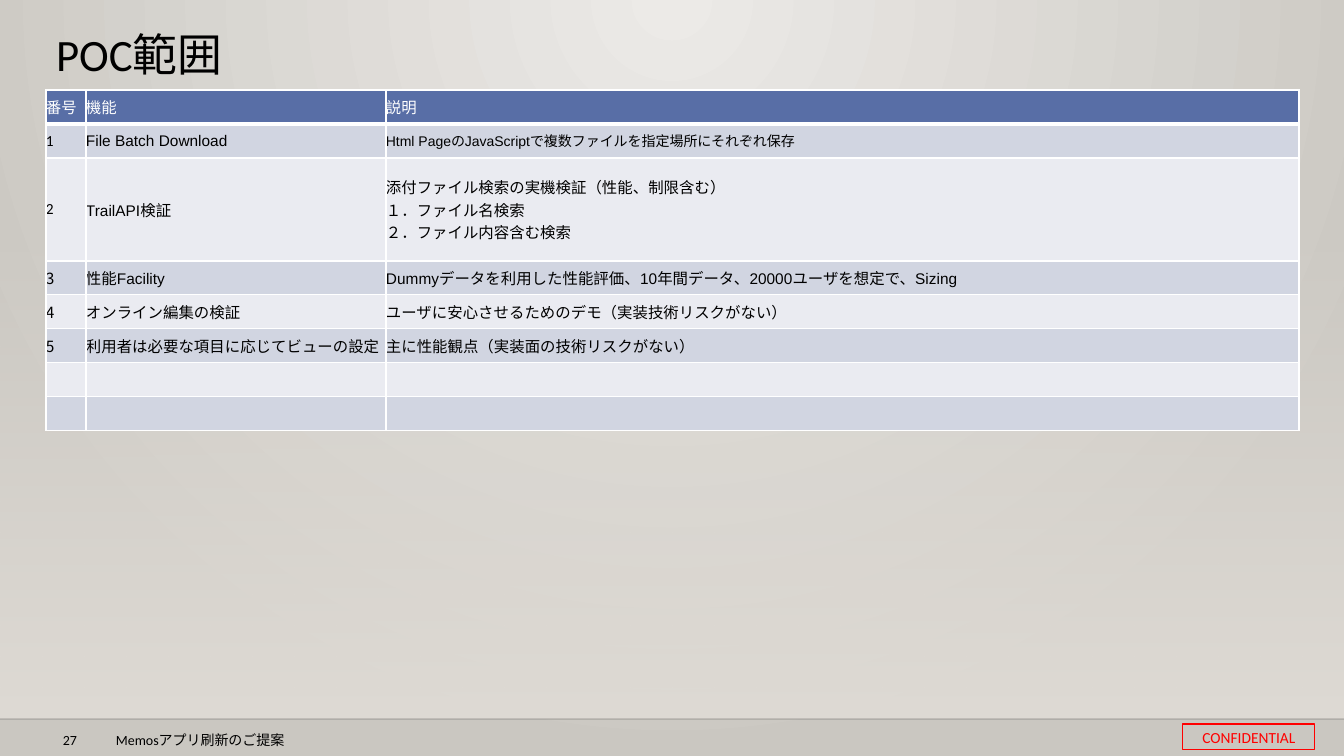
from lxml import etree
from pptx import Presentation
from pptx.dml.color import RGBColor
from pptx.enum.shapes import MSO_CONNECTOR, MSO_SHAPE
from pptx.enum.text import MSO_ANCHOR, PP_ALIGN
from pptx.oxml.ns import qn
from pptx.util import Emu, Pt

RECTANGLE = MSO_SHAPE.RECTANGLE
STRAIGHT = MSO_CONNECTOR.STRAIGHT
TOP, MIDDLE = MSO_ANCHOR.TOP, MSO_ANCHOR.MIDDLE
LEFT, CENTER = PP_ALIGN.LEFT, PP_ALIGN.CENTER

LATIN, SANS, JAPANESE = "Calibri", "Arial", "Noto Sans CJK JP"
BLACK, WHITE, RED = "000000", "FFFFFF", "FF0000"
HEADER_FILL = "586EA6"
BAND_FILLS = ("D1D5E1", "EAEBF1")
TITLE_ONLY = 5
PX_PER_INCH = 100.8

HEADINGS = ("番号", "機能", "説明")
FEATURES = (
    ("File Batch Download", "Html PageのJavaScriptで複数ファイルを指定場所にそれぞれ保存"),
    ("TrailAPI検証", "添付ファイル検索の実機検証（性能、制限含む）\n１．ファイル名検索\n２．ファイル内容含む検索"),
    ("性能Facility", "Dummyデータを利用した性能評価、10年間データ、20000ユーザを想定で、Sizing"),
    ("オンライン編集の検証", "ユーザに安心させるためのデモ（実装技術リスクがない）"),
    ("利用者は必要な項目に応じてビューの設定", "主に性能観点（実装面の技術リスクがない）"),
)
SPARE_ROWS = 2
COLUMN_WIDTHS = (40, 300, 913)
ROW_HEIGHT, TALL_ROW_HEIGHT = 34, 103


def px(length):
    return Emu(round(length * 914400 / PX_PER_INCH))


def color(value):
    return RGBColor.from_string(value)


def child(parent, tag, **attributes):
    return etree.SubElement(parent, qn(tag), attributes)


class SlideBuilder:
    def __init__(self, presentation):
        layout = presentation.slide_layouts[TITLE_ONLY]
        self.slide = presentation.slides.add_slide(layout)
        self.shapes = self.slide.shapes

    def format_text(self, text_frame, size, font=LATIN, ink=BLACK, align=LEFT):
        for paragraph in text_frame.paragraphs:
            paragraph.alignment = align
            for run in paragraph.runs:
                run.font.size = Pt(size)
                run.font.name = font
                run.font.color.rgb = color(ink)
                child(run.font._element, "a:ea", typeface=JAPANESE)

    def set_stops(self, fill, colors):
        fill.gradient()
        for stop, position, value in zip(fill.gradient_stops, (0, 1), colors):
            stop.position = position
            stop.color.rgb = color(value)

    def set_opacity(self, element, percent):
        child(next(element.iter(qn("a:srgbClr"))), "a:alpha", val=str(percent * 1000))

    def background(self, inner, outer):
        fill = self.slide.background.fill
        self.set_stops(fill, (inner, outer))
        gradient = next(self.slide.element.iter(qn("a:gradFill")))
        gradient.remove(gradient.find(qn("a:lin")))
        circle = child(gradient, "a:path")
        circle.set("path", "circle")
        child(circle, "a:fillToRect", l="43000", t="0", r="43000", b="100000")

    def fade(self, left, top, width, height, value):
        shape = self.shapes.add_shape(RECTANGLE, px(left), px(top), px(width), px(height))
        shape.shadow.inherit = False
        shape.line.fill.background()
        self.set_stops(shape.fill, (value, value))
        shape.fill.gradient_angle = 270
        self.set_opacity(shape._element, 0)

    def rule(self, left, right, y, value, opacity):
        connector = self.shapes.add_connector(STRAIGHT, px(left), px(y), px(right), px(y))
        connector.line.width = Pt(1)
        connector.line.color.rgb = color(value)
        self.set_opacity(connector._element, opacity)
        child(connector._element.spPr, "a:effectLst")

    def title(self, text, left, top, width, height):
        shape = self.shapes.title
        shape.left, shape.top = px(left), px(top)
        shape.width, shape.height = px(width), px(height)
        frame = shape.text_frame
        frame.text = text
        frame.vertical_anchor = TOP
        frame.paragraphs[0].line_spacing = 0.9
        self.format_text(frame, 32)

    def label(self, text, left, top, width, height):
        box = self.shapes.add_textbox(px(left), px(top), px(width), px(height))
        box.text_frame.word_wrap = True
        box.text_frame.text = text
        self.format_text(box.text_frame, 10)

    def stamp(self, text, left, top, width, height, ink):
        shape = self.shapes.add_shape(RECTANGLE, px(left), px(top), px(width), px(height))
        shape.shadow.inherit = False
        shape.fill.background()
        shape.line.color.rgb = color(ink)
        shape.line.width = Pt(0.75)
        frame = shape.text_frame
        frame.margin_left = frame.margin_right = px(4)
        frame.margin_top = frame.margin_bottom = px(4)
        frame.vertical_anchor = MIDDLE
        frame.text = text
        self.format_text(frame, 11, ink=ink, align=CENTER)

    def cell(self, cell, text, fill, size, font, ink, bottom, top):
        cell.margin_left = cell.margin_right = 0
        cell.margin_top = cell.margin_bottom = 0
        cell.vertical_anchor = MIDDLE
        cell.text_frame.text = text
        self.format_text(cell.text_frame, size, font, ink)
        properties = cell._tc.get_or_add_tcPr()
        for side, width in (("L", 1), ("R", 1), ("T", top), ("B", bottom)):
            border = child(properties, f"a:ln{side}", w=str(Pt(width)))
            child(child(border, "a:solidFill"), "a:srgbClr", val=WHITE)
        cell.fill.solid()
        cell.fill.fore_color.rgb = color(fill)

    def table(self, left, top, rows):
        heights = [TALL_ROW_HEIGHT if "\n" in row[-1] else ROW_HEIGHT for row in rows]
        table = self.shapes.add_table(
            len(rows), len(COLUMN_WIDTHS), px(left), px(top),
            px(sum(COLUMN_WIDTHS)), px(sum(heights))).table
        for column, width in zip(table.columns, COLUMN_WIDTHS):
            column.width = px(width)
        for index, (texts, height) in enumerate(zip(rows, heights)):
            table.rows[index].height = px(height)
            header = index == 0
            fill = HEADER_FILL if header else BAND_FILLS[(index - 1) % 2]
            for position, text in enumerate(texts):
                number_font = LATIN if index < 3 else JAPANESE
                font = LATIN if header else (number_font, SANS, SANS)[position]
                size = 10 if (index, position) == (1, 2) else 11
                self.cell(table.cell(index, position), text, fill, size, font,
                          WHITE if header else BLACK,
                          3 if header else 1, 3 if index == 1 else 1)


def main():
    presentation = Presentation()
    presentation.slide_width, presentation.slide_height = px(1344), px(756)
    builder = SlideBuilder(presentation)
    builder.background("ECEAE7", "CAC7C1")
    builder.fade(0, 223, 1344, 496, "DFDBD5")
    builder.rule(0, 1344, 719, "000001", 20)
    builder.label("27", 53, 727, 40, 19)
    builder.label("Memosアプリ刷新のご提案", 106, 727, 572, 19)
    builder.stamp("CONFIDENTIAL", 1183, 724, 132, 26, RED)
    builder.title("POC範囲", 46, 28, 1028, 76)
    numbered = [(str(number), *feature) for number, feature in enumerate(FEATURES, 1)]
    builder.table(46, 90, [HEADINGS, *numbered, *[("", "", "")] * SPARE_ROWS])
    presentation.save("out.pptx")


if __name__ == "__main__":
    main()
